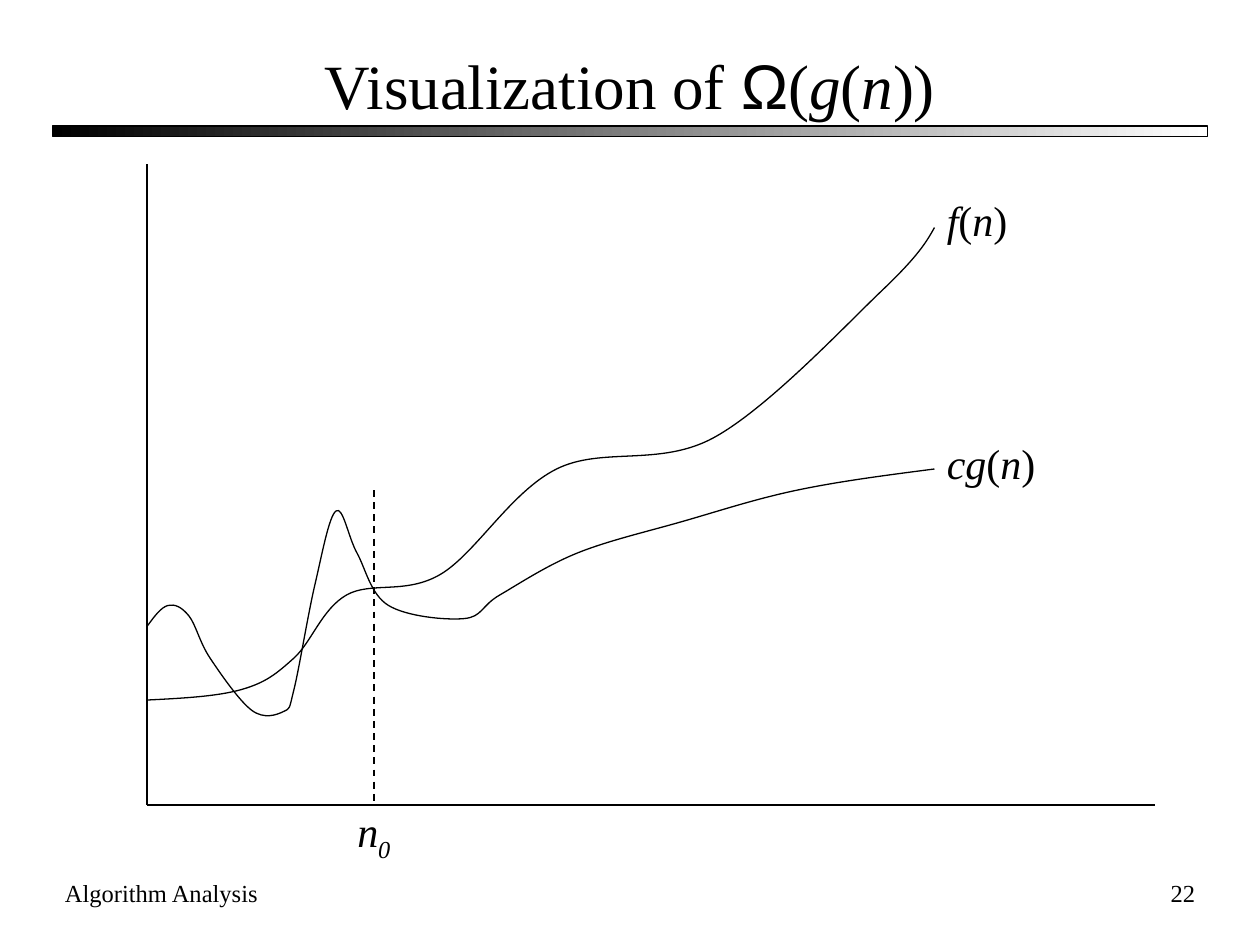
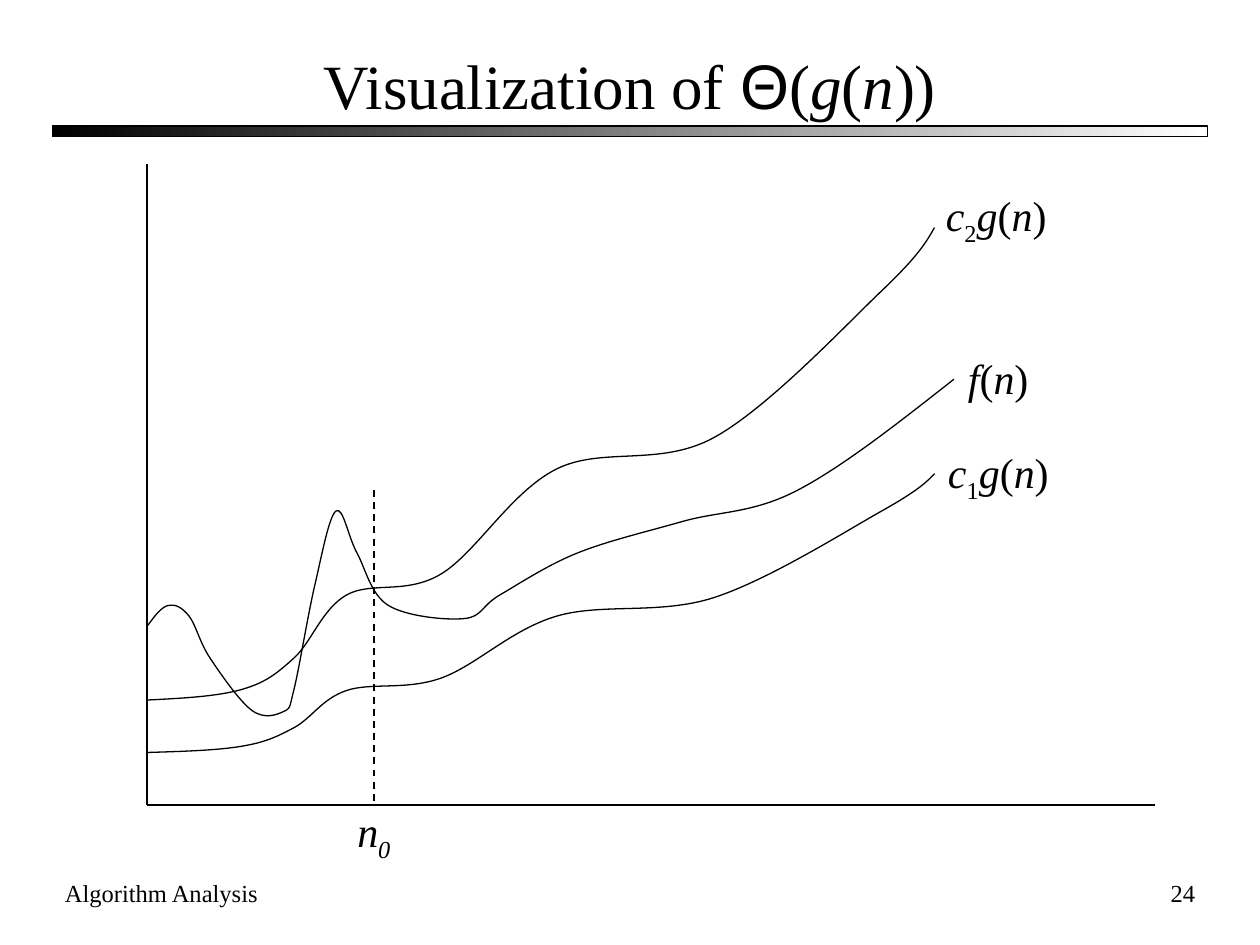
from dataclasses import dataclass

from lxml.etree import SubElement
from pptx import Presentation
from pptx.dml.color import RGBColor
from pptx.enum.dml import MSO_LINE
from pptx.enum.shapes import MSO_CONNECTOR, MSO_SHAPE
from pptx.enum.text import MSO_ANCHOR, MSO_AUTO_SIZE, PP_ALIGN
from pptx.oxml.ns import qn
from pptx.util import Inches, Pt


@dataclass(frozen=True)
class Theme:
    """Colours, fonts and sizes shared by the slides."""

    ink: RGBColor = RGBColor(0, 0, 0)
    paper: RGBColor = RGBColor(255, 255, 255)
    serif: str = "Times New Roman"
    sans: str = "Arial"
    title: Pt = Pt(36)
    label: Pt = Pt(24)
    footer: Pt = Pt(14)
    hairline: Pt = Pt(0.75)
    dashed: Pt = Pt(1)


THEME = Theme()
COLUMNS, ROWS = 120, 90
WIDTH, HEIGHT = Inches(10), Inches(7.5)
ORIGIN_COLUMN, ORIGIN_ROW = 14, 76.67
AXIS_WIDTH, AXIS_HEIGHT = 96, 61
THRESHOLD, THRESHOLD_HEIGHT = 21.65, 30

ITALIC, SUBSCRIPT, SANS = "italic", "subscript", "sans"
OF_N = [("(",), ("n", ITALIC), (")",)]
F_OF_N = [("f", ITALIC), *OF_N]
G_OF_N = [("g", ITALIC), *OF_N]

STEADY = [(0, 10), (9, 11), (14, 14), (19, 20), (28, 22), (39, 32),
          (54, 35), (70, 49), (75, 55)]
FLATTENED = [(column, 5 + 0.59 * (rise - 10)) for column, rise in STEADY]
WAVY = [(0, 17), (2, 19), (4, 18), (6, 14), (10, 9), (13, 8.9), (14, 11),
        (16, 21), (18, 28), (20, 24), (23, 19), (30.2, 17.75), (33.6, 20),
        (41, 24), (51, 27), (62, 30)]


def across(columns):
    """Turn grid columns into a length."""
    return round(WIDTH * columns / COLUMNS)


def down(rows):
    """Turn grid rows into a length."""
    return round(HEIGHT * rows / ROWS)


def on_plot(column, rise):
    """Locate a point given in cells from the origin of the axes."""
    return across(ORIGIN_COLUMN + column), down(ORIGIN_ROW - rise)


def add_text(page, spans, left, top, width, height, size,
             align=PP_ALIGN.LEFT, wrap=True):
    """Add a one-paragraph text box made of styled spans."""
    box = page.shapes.add_textbox(left, top, across(width), down(height))
    frame = box.text_frame
    frame.word_wrap = wrap
    if not wrap:
        frame.auto_size = MSO_AUTO_SIZE.SHAPE_TO_FIT_TEXT
    para = frame.paragraphs[0]
    para.alignment = align
    para.font.size = size
    para.font.name = THEME.serif
    para.font.color.rgb = THEME.ink
    for text, *styles in spans:
        span = para.add_run()
        span.text = text
        if ITALIC in styles:
            span.font.italic = True
        if SANS in styles:
            span.font.name = THEME.sans
        if SUBSCRIPT in styles:
            span.font._element.set("baseline", "-25000")
    return frame


def add_label(page, spans, column, rise, width, height=6):
    """Label a point of the plot, placed by its top left corner."""
    add_text(page, spans, *on_plot(column, rise), width, height,
             THEME.label, wrap=False)


def add_line(page, start, end, weight=THEME.hairline, dash=None):
    """Draw a straight line between two points of the plot."""
    line = page.shapes.add_connector(
        MSO_CONNECTOR.STRAIGHT, *on_plot(*start), *on_plot(*end))
    line.line.color.rgb = THEME.ink
    line.line.width = weight
    if dash:
        line.line.dash_style = dash
    SubElement(line.element.spPr, qn("a:effectLst"))


def midpoint(first, second):
    """Return the point halfway between two points."""
    return tuple((a + b) / 2 for a, b in zip(first, second))


def smooth_segments(points):
    """Return the two handles and the end of each curve segment."""
    handles = []
    for before, point, after in zip(points, points[1:], points[2:]):
        slope = [(b - a) / 6 for a, b in zip(before, after)]
        handles.append((tuple(p - s for p, s in zip(point, slope)),
                        tuple(p + s for p, s in zip(point, slope))))
    leaving = [midpoint(points[0], handles[0][0])] + [h[1] for h in handles]
    arriving = [h[0] for h in handles] + [midpoint(points[-1], handles[-1][1])]
    return zip(leaving, arriving, points[1:])


def add_curve(page, cells):
    """Draw a smooth curve through points of the plot."""
    start, *others = [on_plot(*cell) for cell in cells]
    builder = page.shapes.build_freeform(*start)
    builder.add_line_segments(others, close=False)
    curve = builder.convert_to_shape()
    curve.shadow.inherit = False
    curve.fill.background()
    curve.line.color.rgb = THEME.ink
    curve.line.width = THEME.hairline
    outline = next(curve.element.iter(qn("a:path")))
    points = [(int(point.get("x")), int(point.get("y")))
              for point in outline.iter(qn("a:pt"))]
    for straight in outline.findall(qn("a:lnTo")):
        outline.remove(straight)
    for segment in smooth_segments(points):
        bend = SubElement(outline, qn("a:cubicBezTo"))
        for x, y in segment:
            SubElement(bend, qn("a:pt"), x=str(round(x)), y=str(round(y)))


def add_band(page):
    """Draw the fading band under the title."""
    band = page.shapes.add_shape(
        MSO_SHAPE.RECTANGLE, across(5), down(12), across(110), down(1))
    band.shadow.inherit = False
    band.fill.gradient()
    band.fill.gradient_angle = 0
    for stop, colour in zip(band.fill.gradient_stops, (THEME.ink, THEME.paper)):
        stop.color.rgb = colour
    band.line.color.rgb = THEME.ink
    band.line.width = THEME.hairline


def add_page(deck, symbol, number):
    """Add a slide with its band, title and footers."""
    page = deck.slides.add_slide(deck.slide_layouts[6])
    add_band(page)
    add_text(page, [("Algorithm Analysis",)], across(5), down(83), 42, 6,
             THEME.footer)
    add_text(page, [(str(number),)], across(90), down(83), 25, 6,
             THEME.footer, PP_ALIGN.RIGHT)
    title = [("Visualization of ",), (symbol, SANS), ("(",), *G_OF_N, (")",)]
    frame = add_text(page, title, across(5), down(4), 110, 8,
                     THEME.title, PP_ALIGN.CENTER)
    frame.vertical_anchor = MSO_ANCHOR.MIDDLE
    return page


def add_plot(page, curves):
    """Draw the axes, the curves and the threshold."""
    add_line(page, (0, AXIS_HEIGHT), (0, 0))
    add_line(page, (0, 0), (AXIS_WIDTH, 0))
    for cells in curves:
        add_curve(page, cells)
    add_line(page, (THRESHOLD, THRESHOLD_HEIGHT), (THRESHOLD, 0),
             THEME.dashed, MSO_LINE.DASH)
    add_label(page, [("n", ITALIC), ("0", ITALIC, SUBSCRIPT)],
              18.85, 0.5, 6, 6.7)


def scaled_g(index):
    """Return the spans of g(n) times a numbered constant."""
    return [("c", ITALIC), (index, SUBSCRIPT), *G_OF_N]


def main():
    """Build and save the deck."""
    deck = Presentation()
    deck.slide_width, deck.slide_height = WIDTH, HEIGHT

    omega = add_page(deck, "Ω", 22)
    add_plot(omega, [STEADY, WAVY + [(75, 32)]])
    add_label(omega, [("cg", ITALIC), *OF_N], 75, 35.6, 10.8)
    add_label(omega, F_OF_N, 75, 58.7, 8.2)

    theta = add_page(deck, "Θ", 24)
    add_plot(theta, [STEADY, WAVY + [(76.85, 40.55)], FLATTENED])
    add_label(theta, scaled_g("2"), 74.9, 59.2, 12, 6.7)
    add_label(theta, F_OF_N, 77, 43.7, 8.2)
    add_label(theta, scaled_g("1"), 75.1, 34.7, 12, 6.7)

    deck.save("out.pptx")


if __name__ == "__main__":
    main()
